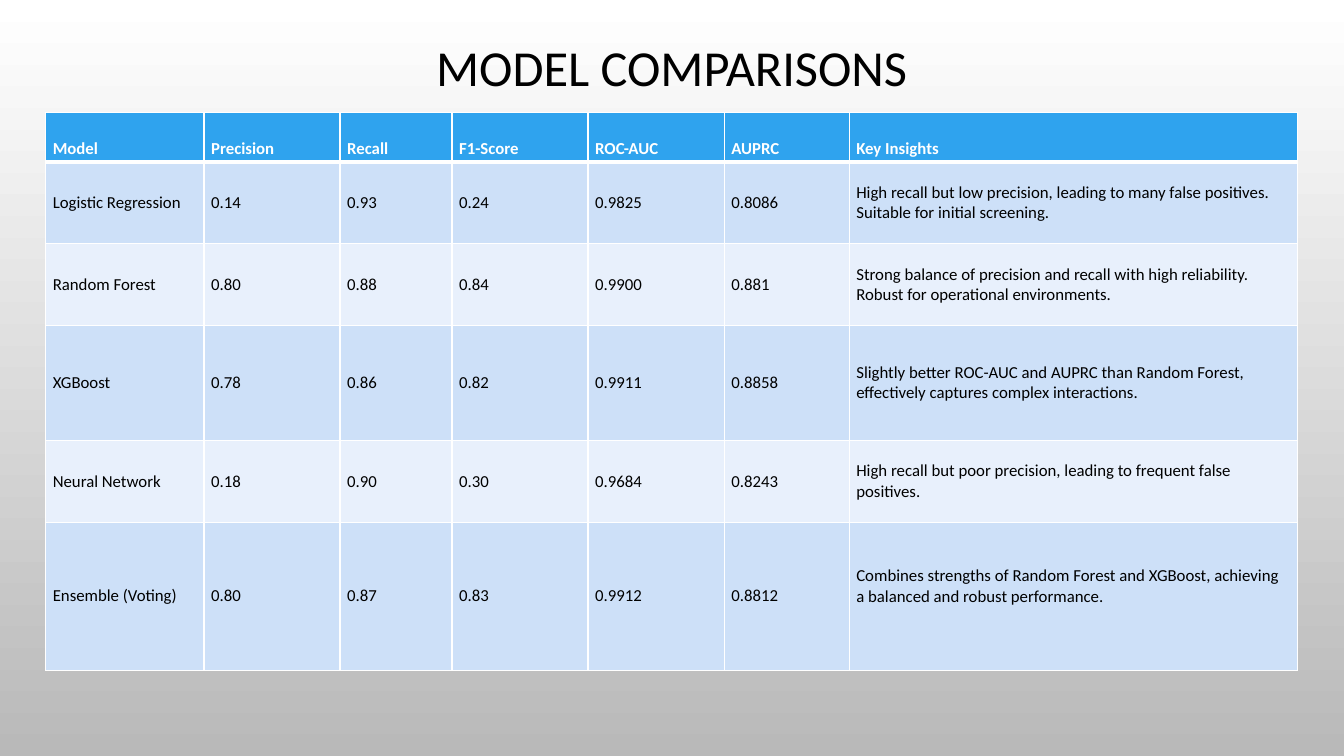
from pptx import Presentation
from pptx.dml.color import RGBColor
from pptx.enum.text import MSO_ANCHOR, MSO_AUTO_SIZE, PP_ALIGN
from pptx.oxml import parse_xml
from pptx.oxml.ns import nsdecls
from pptx.util import Cm, Pt

WHITE = RGBColor(0xFF, 0xFF, 0xFF)
BLACK = RGBColor(0x00, 0x00, 0x00)
GREY = RGBColor(0xB9, 0xB9, 0xB9)
HEADER_BLUE = RGBColor(0x2F, 0xA3, 0xEE)
BAND_BLUE = RGBColor(0xCD, 0xE0, 0xF8)
PALE_BLUE = RGBColor(0xE8, 0xF0, 0xFC)

HEADINGS = ("Model", "Precision", "Recall", "F1-Score", "ROC-AUC", "AUPRC", "Key Insights")
MODELS = (
    ("Logistic Regression", "0.14", "0.93", "0.24", "0.9825", "0.8086",
     "High recall but low precision, leading to many false positives. "
     "Suitable for initial screening."),
    ("Random Forest", "0.80", "0.88", "0.84", "0.9900", "0.881",
     "Strong balance of precision and recall with high reliability. "
     "Robust for operational environments."),
    ("XGBoost", "0.78", "0.86", "0.82", "0.9911", "0.8858",
     "Slightly better ROC-AUC and AUPRC than Random Forest, "
     "effectively captures complex interactions."),
    ("Neural Network", "0.18", "0.90", "0.30", "0.9684", "0.8243",
     "High recall but poor precision, leading to frequent false positives."),
    ("Ensemble (Voting)", "0.80", "0.87", "0.83", "0.9912", "0.8812",
     "Combines strengths of Random Forest and XGBoost, "
     "achieving a balanced and robust performance."),
)
COLUMN_WIDTHS = (3.99, 3.43, 2.82, 3.43, 3.43, 3.15, 11.3)
ROW_HEIGHTS = (1.24, 2.06, 2.06, 2.9, 2.06, 3.73)

CELL_FORMAT = {
    "margin_left": Cm(0.18), "margin_right": Cm(0.18),
    "margin_top": Cm(0.08), "margin_bottom": Cm(0.08),
}
TITLE_FONT = {"name": "Calibri", "size": Pt(36), "bold": False}
HEADING_FONT = {"name": "Calibri", "size": Pt(12), "bold": True}
BODY_FONT = {"name": "Calibri", "size": Pt(12), "bold": False}


def apply_format(target, values):
    for attribute, value in values.items():
        setattr(target, attribute, value)


def paint_background(slide):
    fill = slide.background.fill
    fill.gradient()
    fill.gradient_angle = 270
    for stop, colour in zip(fill.gradient_stops, (WHITE, GREY)):
        stop.color.rgb = colour


def write_title(slide, wording):
    title = slide.shapes.title
    apply_format(title, {"left": Cm(2.54), "top": Cm(0.71),
                         "width": Cm(28.78), "height": Cm(2.13)})
    frame = title.text_frame
    frame.text = wording
    apply_format(frame, {"vertical_anchor": MSO_ANCHOR.MIDDLE,
                         "auto_size": MSO_AUTO_SIZE.NONE, "word_wrap": True})
    heading = frame.paragraphs[0]
    apply_format(heading, {"alignment": PP_ALIGN.CENTER, "line_spacing": 0.9})
    apply_format(heading.font, TITLE_FONT)
    heading.font.color.rgb = BLACK


def draw_borders(cell, top, bottom):
    """Draw white borders; top and bottom are widths in points."""
    properties = cell._tc.get_or_add_tcPr()
    for side, width in (("L", 1), ("R", 1), ("T", top), ("B", bottom)):
        properties.append(parse_xml(
            f'<a:ln{side} {nsdecls("a")} w="{Pt(width)}"><a:solidFill>'
            f'<a:srgbClr val="{WHITE}"/></a:solidFill></a:ln{side}>'))


def fill_cell(cell, wording, row):
    is_heading = row == 0
    cell.text = wording
    apply_format(cell, CELL_FORMAT)
    cell.vertical_anchor = MSO_ANCHOR.BOTTOM if is_heading else MSO_ANCHOR.MIDDLE
    draw_borders(cell, top=3 if row == 1 else 1, bottom=3 if is_heading else 1)
    cell.fill.solid()
    band = BAND_BLUE if row % 2 else PALE_BLUE
    cell.fill.fore_color.rgb = HEADER_BLUE if is_heading else band
    font = cell.text_frame.paragraphs[0].font
    apply_format(font, HEADING_FONT if is_heading else BODY_FONT)
    font.color.rgb = WHITE if is_heading else BLACK


def add_comparison(slide):
    contents = (HEADINGS, *MODELS)
    comparison = slide.shapes.add_table(
        len(contents), len(HEADINGS), Cm(1.15), Cm(2.84),
        Cm(sum(COLUMN_WIDTHS)), Cm(sum(ROW_HEIGHTS))).table
    for column, width in zip(comparison.columns, COLUMN_WIDTHS):
        column.width = Cm(width)
    for row, (height, wordings) in enumerate(zip(ROW_HEIGHTS, contents)):
        comparison.rows[row].height = Cm(height)
        for column, wording in enumerate(wordings):
            fill_cell(comparison.cell(row, column), wording, row)
    # The closing insight sits half a line above the middle of its row.
    comparison.cell(len(MODELS), len(HEADINGS) - 1).margin_bottom = Cm(0.58)


def main():
    presentation = Presentation()
    apply_format(presentation, {"slide_width": Cm(33.87), "slide_height": Cm(19.05)})
    slide = presentation.slides.add_slide(presentation.slide_layouts[5])
    paint_background(slide)
    write_title(slide, "MODEL COMPARISONS")
    add_comparison(slide)
    presentation.save("out.pptx")


if __name__ == "__main__":
    main()
